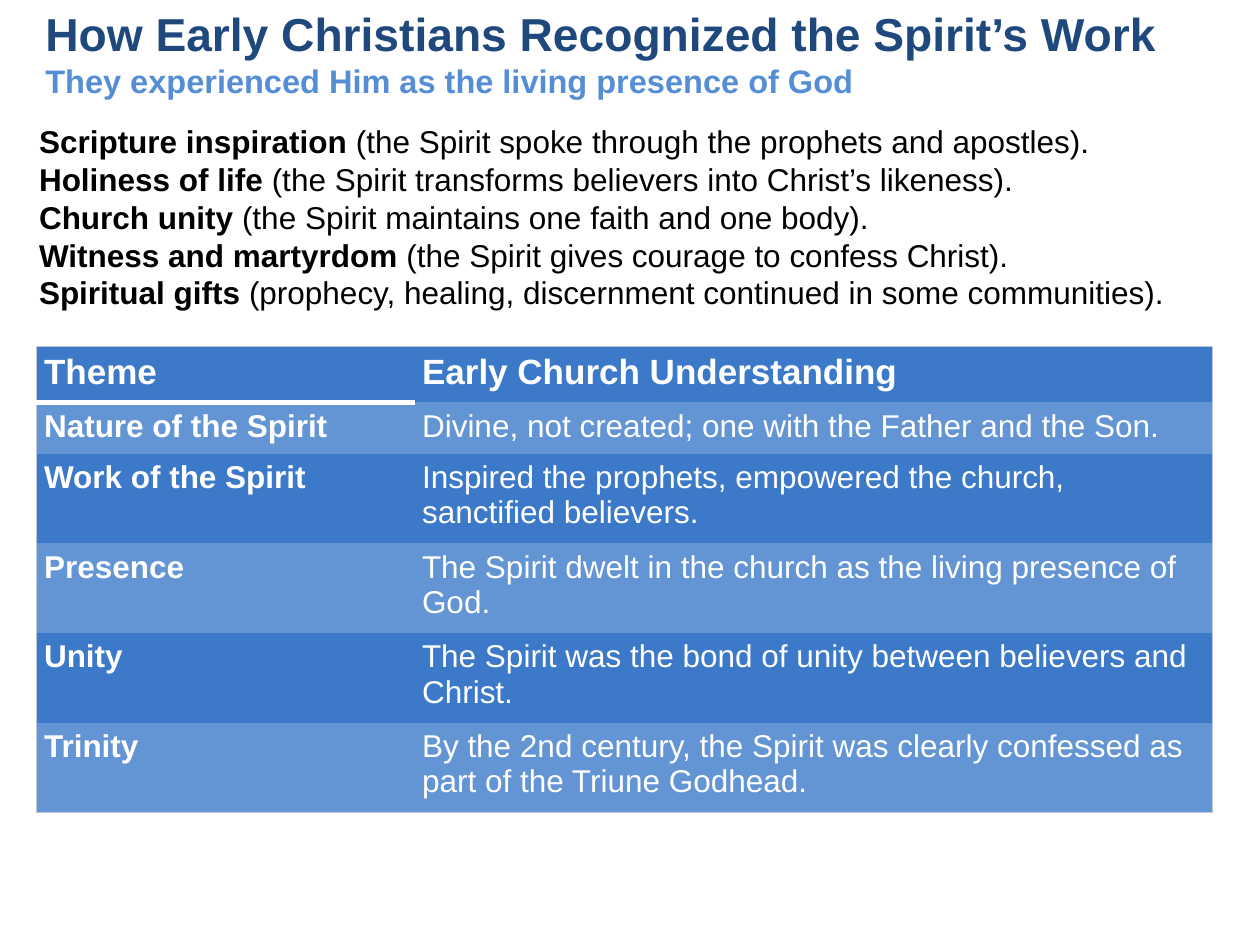
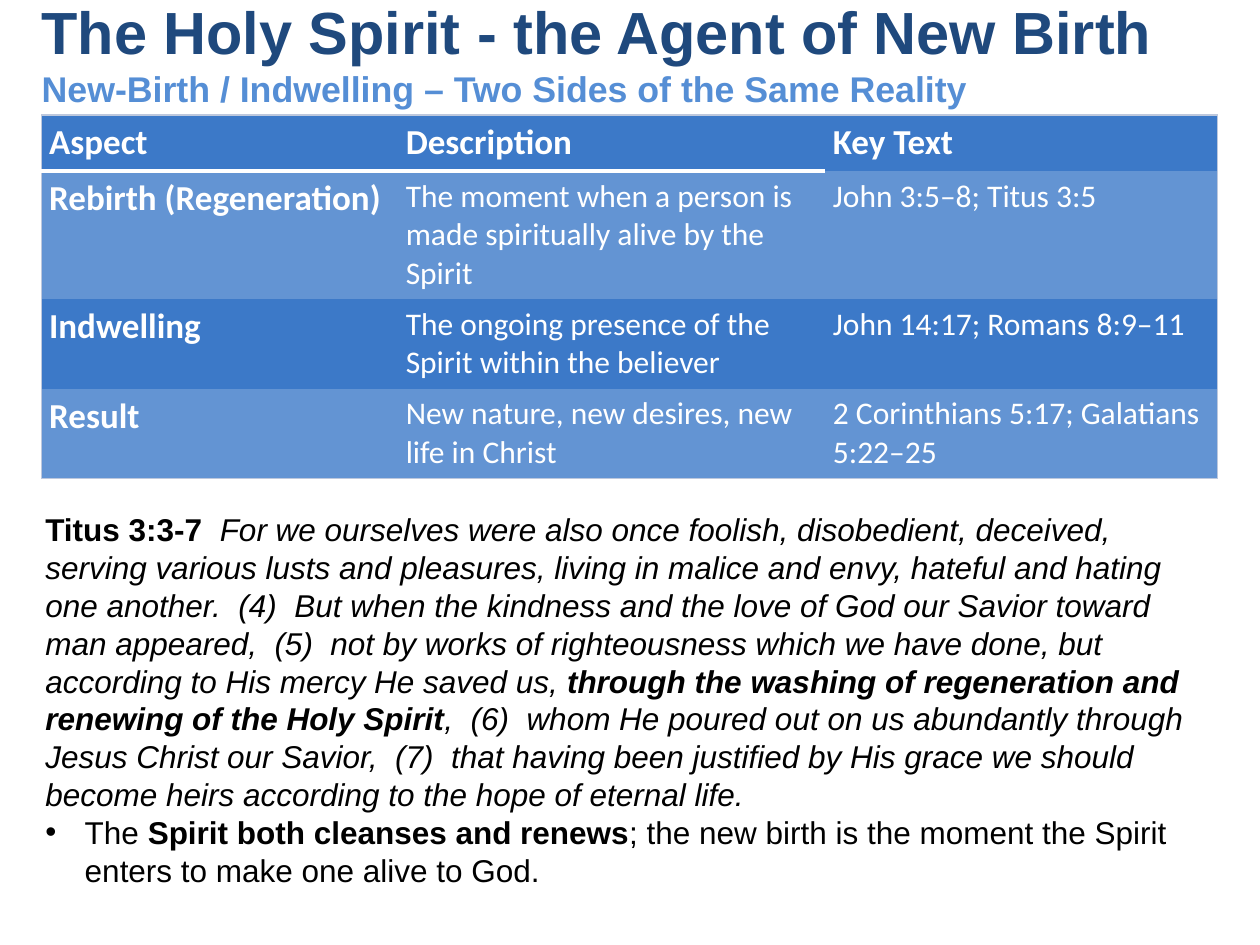
from dataclasses import dataclass

from lxml import etree
from pptx import Presentation
from pptx.dml.color import RGBColor
from pptx.enum.text import MSO_ANCHOR, MSO_AUTO_SIZE, PP_ALIGN
from pptx.oxml.ns import qn
from pptx.util import Pt

LEFT = PP_ALIGN.LEFT
TOP = MSO_ANCHOR.TOP
MIDDLE = MSO_ANCHOR.MIDDLE
NO_AUTOFIT = MSO_AUTO_SIZE.NONE
PLAIN_TABLE_STYLE = "{2D5ABB26-0587-4C30-8999-92F81FD0307C}"


@dataclass(frozen=True)
class Theme:
    font: str = "Arial"
    title: str = "1F497D"
    subtitle: str = "558ED5"
    text: str = "000000"
    white: str = "FFFFFF"
    dark_band: str = "3C79C8"
    light_band: str = "6394D3"
    outline: str = "BDC8DD"
    body_size: float = 18
    head_size: float = 20
    body_leading: float = 21.6
    bullet_indent: float = 22.5


theme = Theme()


def style_font(font, name, size, color, bold=False, italic=False):
    font.name = name
    font.size = Pt(size)
    font.color.rgb = RGBColor.from_string(color)
    font.bold = bold
    font.italic = italic


def add_border(cell, edge, color, width):
    line = etree.SubElement(cell._tc.get_or_add_tcPr(), qn(f"a:ln{edge}"), w=str(Pt(width)))
    fill = etree.SubElement(line, qn("a:solidFill"))
    etree.SubElement(fill, qn("a:srgbClr"), val=color)


# Slide content: body paragraphs are (bulleted, [(text, style letters)])
gifts = [
    ("Scripture inspiration", " (the Spirit spoke through the prophets and apostles)."),
    ("Holiness of life", " (the Spirit transforms believers into Christ’s likeness)."),
    ("Church unity", " (the Spirit maintains one faith and one body)."),
    ("Witness and martyrdom", " (the Spirit gives courage to confess Christ)."),
    ("Spiritual gifts", " (prophecy, healing, discernment continued in some communities)."),
]

slides = [
    {
        "title": ("How Early Christians Recognized the Spirit’s Work",
                  "They experienced Him as the living presence of God"),
        "title_sizes": (26.4, 18.6),
        "title_box": (18.7, 0, 682.6, 59.8),
        "body_box": (15.1, 66.2, 683.3, 116.6),
        "body": [(False, [(name, "b"), (meaning, "")]) for name, meaning in gifts],
        "table_at": (20.9, 198),
        "table_font": "Arial",
        "label_size": theme.body_size,
        "columns": (216, 455.8),
        "rows": (32, 29.2, 51.3, 51.3, 51.3, 51.3),
        "cells": [
            ("Theme", "Early Church Understanding"),
            ("Nature of the Spirit", "Divine, not created; one with the Father and the Son."),
            ("Work of the Spirit",
             "Inspired the prophets, empowered the church, sanctified believers."),
            ("Presence", "The Spirit dwelt in the church as the living presence of God."),
            ("Unity", "The Spirit was the bond of unity between believers and Christ."),
            ("Trinity", "By the 2nd century, the Spirit was clearly confessed as part of "
                        "the Triune Godhead."),
        ],
    },
    {
        "title": ("The Holy Spirit - the Agent of New Birth",
                  "New-Birth / Indwelling – Two Sides of the Same Reality"),
        "title_sizes": (34, 20.4),
        "title_box": (16.6, 0, 660.2, 59.8),
        "body_box": (18.7, 288, 683.3, 225.4),
        "body": [
            (False, [
                ("Titus 3:3-7  ", "b"),
                ("For we ourselves were also once foolish, disobedient, deceived, serving "
                 "various lusts and pleasures, living in malice and envy, hateful and hating "
                 "one another.  (4)  But when the kindness and the love of God our Savior "
                 "toward man appeared,  (5)  not by works of righteousness which we have "
                 "done, but according to His mercy He saved us, ", "i"),
                ("through the washing of regeneration and renewing of the Holy Spirit", "bi"),
                (",  (6)  whom He poured out on us abundantly through Jesus Christ our "
                 "Savior,  (7)  that having been justified by His grace we should become "
                 "heirs according to the hope of eternal life.", "i"),
            ]),
            (True, [
                ("The ", ""),
                ("Spirit both cleanses and renews", "b"),
                ("; the new birth is the moment the Spirit enters to make one alive to God.", ""),
            ]),
        ],
        "table_at": (23.8, 65.7),
        "table_font": "Calibri",
        "label_size": theme.head_size,
        "columns": (203.8, 244.1, 223.9),
        "rows": (32, 73.2, 51.1, 51.1),
        "cells": [
            ("Aspect", "Description", "Key Text"),
            ("Rebirth (Regeneration)",
             "The moment when a person is made spiritually alive by the Spirit",
             "John 3:5–8; Titus 3:5"),
            ("Indwelling", "The ongoing presence of the Spirit within the believer",
             "John 14:17; Romans 8:9–11"),
            ("Result", "New nature, new desires, new life in Christ",
             "2 Corinthians 5:17; Galatians 5:22–25"),
        ],
    },
]

presentation = Presentation()
presentation.slide_width = Pt(720)
presentation.slide_height = Pt(540)

for content in slides:
    slide = presentation.slides.add_slide(presentation.slide_layouts[1])
    title, body = slide.placeholders[0], slide.placeholders[1]

    # Placeholder frames
    for shape, box, anchor in ((title, content["title_box"], MIDDLE),
                               (body, content["body_box"], TOP)):
        shape.left, shape.top, shape.width, shape.height = map(Pt, box)
        shape.text_frame.word_wrap = True
        shape.text_frame.auto_size = NO_AUTOFIT
        shape.text_frame.vertical_anchor = anchor

    # Title with its subtitle line
    paragraph = title.text_frame.paragraphs[0]
    paragraph.text = "\v".join(content["title"])
    paragraph.alignment = LEFT
    for run, size, color in zip(paragraph.runs, content["title_sizes"],
                                (theme.title, theme.subtitle)):
        style_font(run.font, theme.font, size, color, bold=True)

    # Body paragraphs
    for index, (bulleted, pieces) in enumerate(content["body"]):
        frame = body.text_frame
        paragraph = frame.add_paragraph() if index else frame.paragraphs[0]
        paragraph.alignment = LEFT
        paragraph.line_spacing = Pt(theme.body_leading)
        paragraph.space_before = Pt(0)
        properties = paragraph._p.get_or_add_pPr()
        indent = Pt(theme.bullet_indent) if bulleted else 0
        properties.set("marL", str(indent))
        properties.set("indent", str(-indent))
        if bulleted:
            etree.SubElement(properties, qn("a:buFont"), typeface=theme.font)
            etree.SubElement(properties, qn("a:buChar"), char="•")
        else:
            etree.SubElement(properties, qn("a:buNone"))
        for text, style in pieces:
            run = paragraph.add_run()
            run.text = text
            style_font(run.font, theme.font, theme.body_size, theme.text,
                       bold="b" in style, italic="i" in style)

    # Banded table
    columns, rows = content["columns"], content["rows"]
    left, top = content["table_at"]
    table = slide.shapes.add_table(len(rows), len(columns), Pt(left), Pt(top),
                                   Pt(sum(columns)), Pt(sum(rows))).table
    table._tbl.tblPr.find(qn("a:tableStyleId")).text = PLAIN_TABLE_STYLE
    for column, width in zip(table.columns, columns):
        column.width = Pt(width)
    for row, height in zip(table.rows, rows):
        row.height = Pt(height)

    last_row, last_column = len(rows) - 1, len(columns) - 1
    for row_index, texts in enumerate(content["cells"]):
        for column_index, text in enumerate(texts):
            cell = table.cell(row_index, column_index)
            cell.margin_left = cell.margin_right = Pt(4.3)
            cell.margin_top = cell.margin_bottom = Pt(3.6)

            # Outer outline, and a white rule under the header
            for edge, on_outline in (("L", column_index == 0),
                                     ("R", column_index == last_column),
                                     ("T", row_index == 0),
                                     ("B", row_index == last_row)):
                if on_outline:
                    add_border(cell, edge, theme.outline, 0.75)
            if row_index == 0 and column_index < last_column:
                add_border(cell, "B", theme.white, 3)

            cell.fill.solid()
            band = theme.light_band if row_index % 2 else theme.dark_band
            cell.fill.fore_color.rgb = RGBColor.from_string(band)

            if row_index == 0:
                size = theme.head_size
            elif column_index == 0:
                size = content["label_size"]
            else:
                size = theme.body_size
            paragraph = cell.text_frame.paragraphs[0]
            paragraph.text = text
            style_font(paragraph.runs[0].font, content["table_font"], size, theme.white,
                       bold=row_index == 0 or column_index == 0)

presentation.save("out.pptx")
